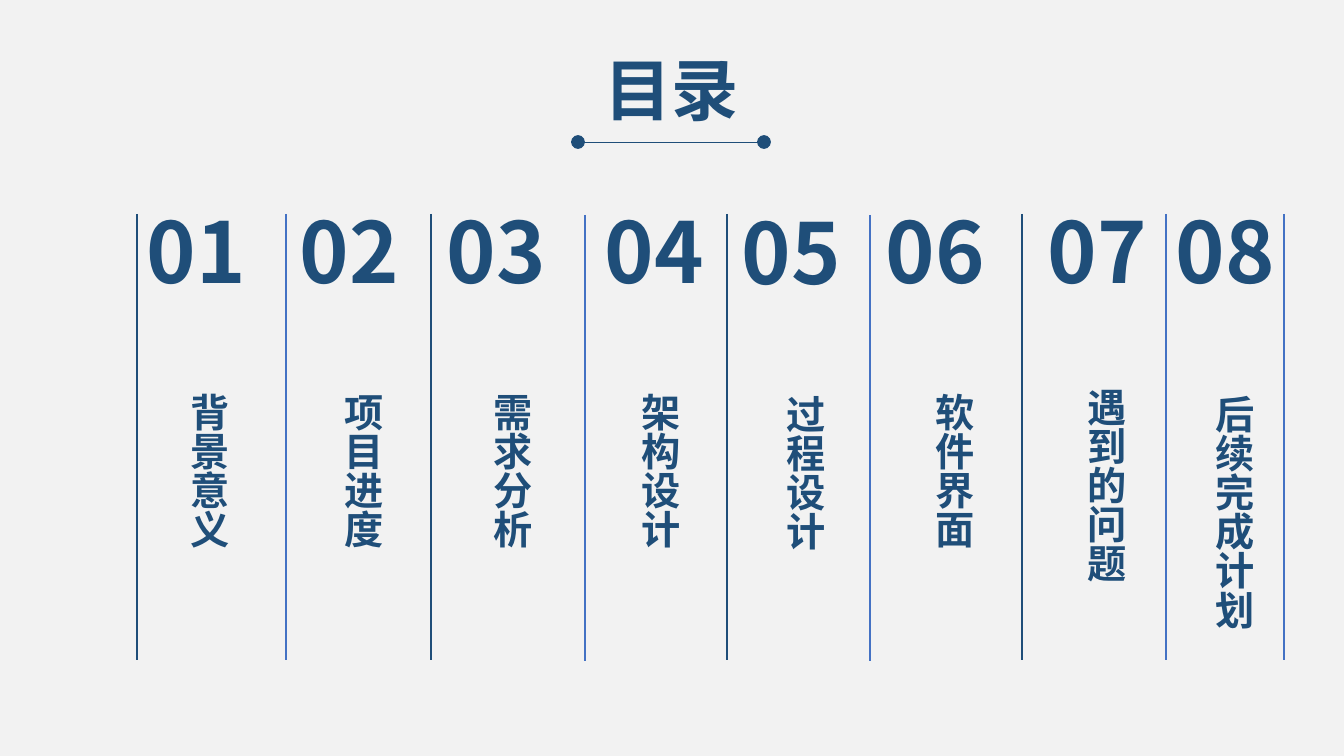
from pptx import Presentation
from pptx.dml.color import RGBColor
from pptx.enum import shapes, text
from pptx.oxml.ns import qn
from pptx.util import Emu, Pt

NAVY = RGBColor(0x1F, 0x4E, 0x79)
BLUE = RGBColor(0x44, 0x72, 0xC4)
PALE = RGBColor(0xF2, 0xF2, 0xF2)
FONT = "Noto Sans CJK SC"
PX = 914400 / 100.8

RULE_HEIGHT = 446
NUMBER_SIZE = 190, 125
LABEL_WIDTH, CHAR_HEIGHT, LABEL_PADDING = 67, 39, 12

# rule x, rule y, rule colour, number dx, number dy, label dx, label dy, label
CHAPTERS = [
    (137, 214, NAVY, 0, 0, 33, 169, "背景意义"),
    (286, 214, BLUE, 4, 0, 38, 169, "项目进度"),
    (431, 214, NAVY, 6, 0, 42, 169, "需求分析"),
    (585, 215, BLUE, 10, -1, 36, 168, "架构设计"),
    (727, 214, NAVY, 5, 1, 39, 171, "过程设计"),
    (870, 215, BLUE, 6, -1, 45, 168, "软件界面"),
    (1022, 214, NAVY, 16, 0, 45, 164, "遇到的问题"),
    (1166, 214, BLUE, 0, 0, 29, 171, "后续完成计划"),
]
LAST_RULE = 1284, 214, BLUE


def px(*lengths):
    return [Emu(round(n * PX)) for n in lengths]


def write(shape, words, size, align=None, spacing=None, vertical=False):
    tf = shape.text_frame
    tf.auto_size = text.MSO_AUTO_SIZE.NONE
    tf.vertical_anchor = text.MSO_ANCHOR.TOP
    tf.word_wrap = not vertical
    if vertical:
        tf.auto_size = text.MSO_AUTO_SIZE.SHAPE_TO_FIT_TEXT
        tf._txBody.bodyPr.set("vert", "eaVert")
    p = tf.paragraphs[0]
    p.alignment = align
    p.line_spacing = spacing
    r = p.add_run()
    r.text = words
    r.font.name, r.font.size, r.font.bold = FONT, Pt(size), True
    r.font.color.rgb = NAVY
    ea = r._r.get_or_add_rPr().makeelement(qn("a:ea"), {"typeface": FONT})
    r._r.rPr.find(qn("a:latin")).addnext(ea)


def add_line(s, x1, y1, x2, y2, color, width=1, dots=False):
    line = s.shapes.add_connector(shapes.MSO_CONNECTOR.STRAIGHT, *px(x1, y1, x2, y2))
    line.line.color.rgb = color
    line.line.width = Pt(width)
    if dots:
        ln = line.line._get_or_add_ln()
        for end in ("a:headEnd", "a:tailEnd"):
            ln.append(ln.makeelement(qn(end), {"type": "oval", "w": "lg", "len": "lg"}))
    spPr = line._element.spPr
    spPr.append(spPr.makeelement(qn("a:effectLst"), {}))


def add_heading(s, x, y, w, h):
    title = s.shapes.title
    title.left, title.top, title.width, title.height = px(x, y, w, h)
    write(title, "目录", 48, align=text.PP_ALIGN.CENTER, spacing=0.8)
    middle, half = x + w // 2, 93
    add_line(s, middle - half, y + h, middle + half, y + h, NAVY, 0.5, dots=True)


def add_rule(s, x, y, color):
    add_line(s, x, y, x, y + RULE_HEIGHT, color)


def add_chapter(s, number, x, y, color, num_dx, num_dy, label_dx, label_dy, label):
    add_rule(s, x, y, color)
    box = s.shapes.add_textbox(*px(x + num_dx, y + num_dy, *NUMBER_SIZE))
    write(box, f"{number:02}", 60, spacing=0.8)
    height = len(label) * CHAR_HEIGHT + LABEL_PADDING
    box = s.shapes.add_textbox(*px(x + label_dx, y + label_dy, LABEL_WIDTH, height))
    write(box, label, 28, vertical=True)


def main():
    prs = Presentation()
    prs.slide_width, prs.slide_height = px(1344, 756)
    s = prs.slides.add_slide(prs.slide_layouts[5])
    s.background.fill.solid()
    s.background.fill.fore_color.rgb = PALE
    add_heading(s, 286, 59, 771, 83)
    for number, chapter in enumerate(CHAPTERS, 1):
        add_chapter(s, number, *chapter)
    add_rule(s, *LAST_RULE)
    prs.save("out.pptx")


if __name__ == "__main__":
    main()
